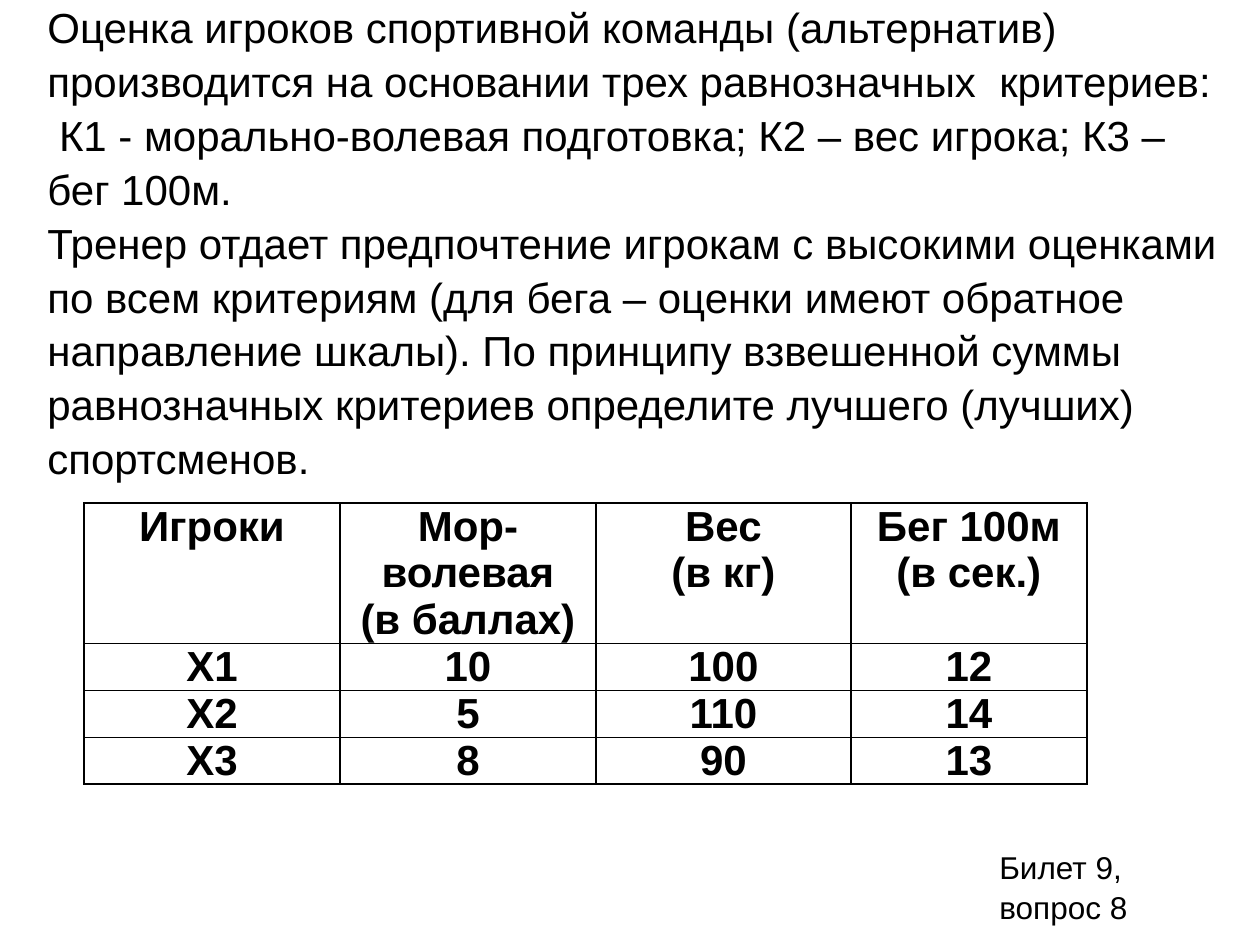
from lxml import etree
from pptx import Presentation
from pptx import util as u
from pptx.dml.color import RGBColor
from pptx.enum import text
from pptx.oxml.ns import qn

PX = 914400 // 126
COLORS = {"ink": "000000", "paper": "FFFFFF"}


def px(n):
    return u.Emu(n * PX)


def write(frame, lines, size, bold=False, **paragraph_format):
    """Fill a text frame with one paragraph per line."""
    for i, line in enumerate(lines):
        paragraph = frame.paragraphs[0] if i == 0 else frame.add_paragraph()
        paragraph.text = line
        for name, value in paragraph_format.items():
            setattr(paragraph, name, value)
        for name, value in {"name": "Arial", "size": u.Pt(size), "bold": bold}.items():
            setattr(paragraph.font, name, value)
        paragraph.font.color.rgb = RGBColor.from_string(COLORS["ink"])


prs = Presentation()
prs.slide_width, prs.slide_height = px(1260), px(945)
slide = prs.slides.add_slide(prs.slide_layouts[6])
slide.background.fill.solid()
slide.background.fill.fore_color.rgb = RGBColor.from_string(COLORS["paper"])

# Player scores
scores = [
    ["Игроки", "Мор-волевая\n(в баллах)", "Вес\n(в кг)", "Бег 100м\n(в сек.)"],
    ["Х1", "10", "100", "12"],
    ["Х2", "5", "110", "14"],
    ["Х3", "8", "90", "13"],
]
column_widths = [256, 256, 255, 236]
row_heights = [97, 44, 44, 44]
players = slide.shapes.add_table(
    len(scores), len(column_widths), px(84), px(503),
    px(sum(column_widths)), px(sum(row_heights))).table
players.first_row = players.horz_banding = False
for column, width in zip(players.columns, column_widths):
    column.width = px(width)
for row, height, values in zip(players.rows, row_heights, scores):
    row.height = px(height)
    for cell, value in zip(row.cells, values):
        cell.margin_left = cell.margin_right = px(9)
        cell.margin_top = cell.margin_bottom = 0
        write(cell.text_frame, value.split("\n"), 24, bold=True,
              alignment=text.PP_ALIGN.CENTER)
        properties = cell._tc.get_or_add_tcPr()
        for side in ("lnL", "lnR", "lnT", "lnB"):
            border = etree.SubElement(properties, qn(f"a:{side}"), w=str(u.Pt(1)))
            fill = etree.SubElement(border, qn("a:solidFill"))
            etree.SubElement(fill, qn("a:srgbClr"), val=COLORS["ink"])
        cell.fill.background()

# Task statement and ticket number
task = [
    "Оценка игроков спортивной команды (альтернатив) производится на основании "
    "трех равнозначных  критериев:",
    " К1 - морально-волевая подготовка; К2 – вес игрока; К3 – бег 100м.",
    "Тренер отдает предпочтение игрокам с высокими оценками по всем критериям "
    "(для бега – оценки имеют обратное направление шкалы). По принципу взвешенной "
    "суммы равнозначных критериев определите лучшего (лучших) спортсменов.",
]
for box, lines, size, anchor in [
    ((35, 5, 1211, 471), task, 24, text.MSO_ANCHOR.MIDDLE),
    ((987, 839, 189, 89), ["Билет 9, вопрос 8"], 18, text.MSO_ANCHOR.TOP),
]:
    frame = slide.shapes.add_textbox(*map(px, box)).text_frame
    for name, value in {"word_wrap": True, "vertical_anchor": anchor,
                        "auto_size": text.MSO_AUTO_SIZE.SHAPE_TO_FIT_TEXT}.items():
        setattr(frame, name, value)
    write(frame, lines, size, line_spacing=1.07)

prs.save("out.pptx")
